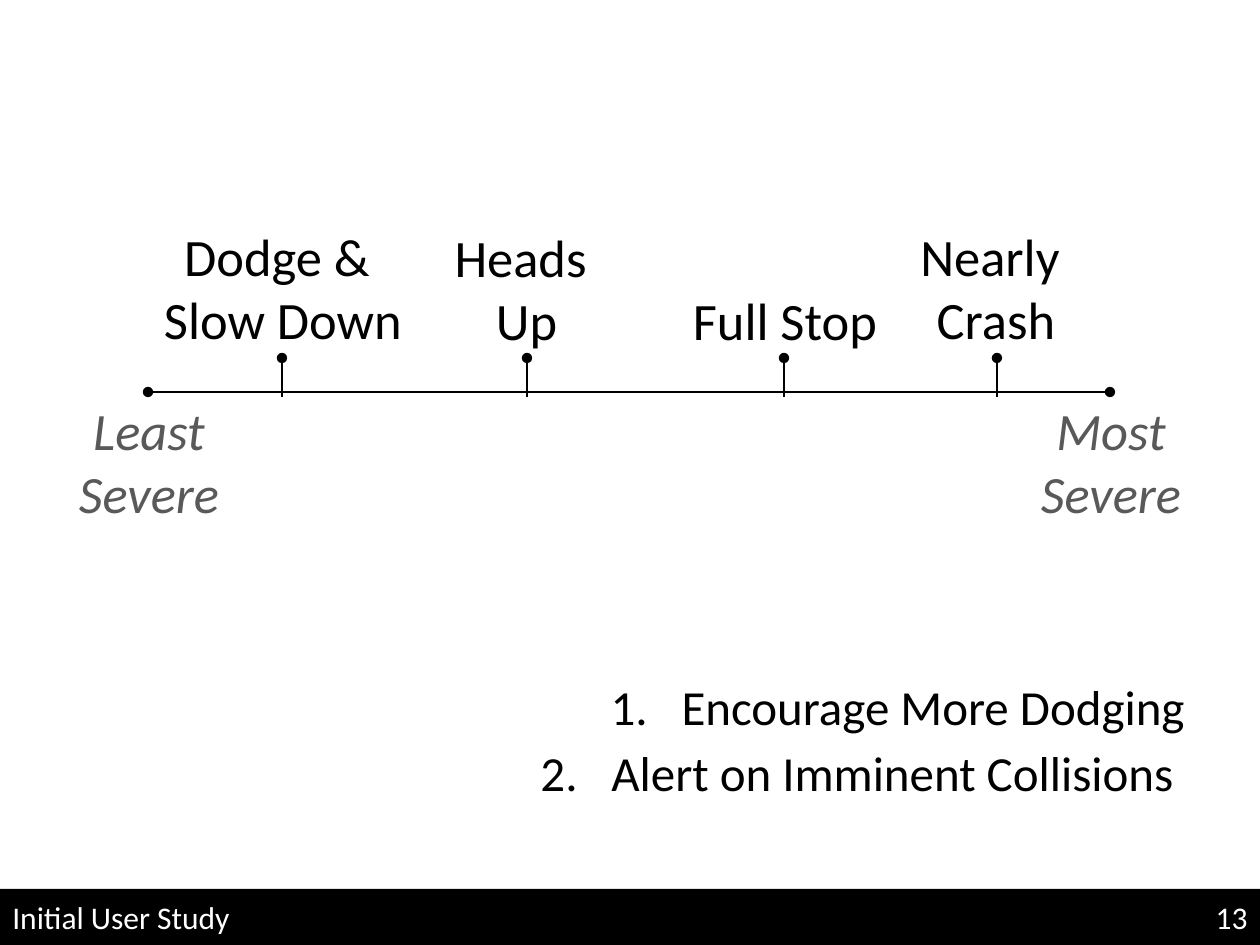
import pptx
import pptx.util
import pptx.dml.color
import pptx.enum.shapes
import pptx.enum.text
import pptx.oxml.ns
from lxml import etree

RGB = pptx.dml.color.RGBColor
ALIGN = pptx.enum.text.PP_ALIGN
ANCHOR = pptx.enum.text.MSO_ANCHOR
FIT = pptx.enum.text.MSO_AUTO_SIZE
qn = pptx.oxml.ns.qn

BLACK = RGB(0, 0, 0)
WHITE = RGB(255, 255, 255)
GRAY = RGB(89, 89, 89)
FONT = "Calibri"
SCALE = 914400 // 126


def px(n):
    return pptx.util.Emu(n * SCALE)


def number(para, indent):
    """Number a paragraph automatically, with a hanging indent."""
    props = para._p.get_or_add_pPr()
    props.set("marL", str(px(indent)))
    props.set("indent", str(-px(indent)))
    etree.SubElement(props, qn("a:buFont"), typeface="+mj-lt")
    etree.SubElement(props, qn("a:buAutoNum"), type="arabicPeriod")


def write(frame, paras, size=30, color=BLACK, italic=False,
          align=ALIGN.CENTER, gap=0, indent=0):
    for i, text in enumerate(paras):
        para = frame.add_paragraph() if i else frame.paragraphs[0]
        para.text = text
        para.alignment = align
        if i and gap:
            para.space_before = pptx.util.Pt(gap)
        if indent:
            number(para, indent)
        for run in para.runs:
            run.font.name = FONT
            run.font.size = pptx.util.Pt(size)
            run.font.italic = italic
            run.font.color.rgb = color


def label(slide, box, paras, wrap=False, **style):
    frame = slide.shapes.add_textbox(*map(px, box)).text_frame
    frame.word_wrap = wrap
    frame.auto_size = FIT.NONE if wrap else FIT.SHAPE_TO_FIT_TEXT
    write(frame, paras, **style)


def line(slide, start, end, ends):
    """Draw a thin line with an oval at each of the named ends."""
    kind = pptx.enum.shapes.MSO_CONNECTOR.STRAIGHT
    link = slide.shapes.add_connector(kind, *map(px, start + end))
    link.line.color.rgb = BLACK
    link.line.width = pptx.util.Pt(0.75)
    for name in ends:
        etree.SubElement(link.line._get_or_add_ln(), qn(name), type="oval")
    etree.SubElement(link._element.spPr, qn("a:effectLst"))


def footer(slide, title, page):
    kind = pptx.enum.shapes.MSO_SHAPE.RECTANGLE
    bar = slide.shapes.add_shape(kind, *map(px, (0, 889, 1260, 56)))
    bar.shadow.inherit = False
    bar.fill.solid()
    bar.fill.fore_color.rgb = BLACK
    bar.line.fill.background()
    bar.text_frame.vertical_anchor = ANCHOR.MIDDLE
    write(bar.text_frame, [title], size=18, color=WHITE, align=ALIGN.LEFT)
    label(slide, (1202, 892, 58, 50), [page],
          size=18, color=WHITE, align=ALIGN.RIGHT)


def scale(slide):
    """Draw the severity axis, its end labels and its marked events."""
    left, right, level = 148, 1110, 392
    line(slide, (left, level), (right, level), ("a:headEnd", "a:tailEnd"))
    for x, text in ((left, "Least\nSevere"), (right, "Most\nSevere")):
        label(slide, (x - 83, level, 168, 140), [text],
              color=GRAY, italic=True)
    events = (
        (282, (150, 218, 266, 140), ["Dodge & \nSlow Down"]),
        (527, (441, 219, 171, 140), ["Heads \nUp"]),
        (784, (679, 282, 212, 77), ["Full Stop"]),
        (997, (907, 218, 178, 140), ["Nearly ", "Crash"]),
    )
    for x, box, text in events:
        label(slide, box, text)
        line(slide, (x, level + 5), (x, 358), ("a:tailEnd",))


def main():
    deck = pptx.Presentation()
    deck.slide_width, deck.slide_height = px(1260), px(945)
    slide = deck.slides.add_slide(deck.slide_layouts[6])
    footer(slide, "Initial User Study", "13")
    goals = ["Encourage More Dodging", "Alert on Imminent Collisions "]
    label(slide, (64, 670, 1133, 173), goals, wrap=True,
          size=28, align=ALIGN.RIGHT, gap=4.5, indent=71)
    scale(slide)
    deck.save("out.pptx")


if __name__ == "__main__":
    main()
